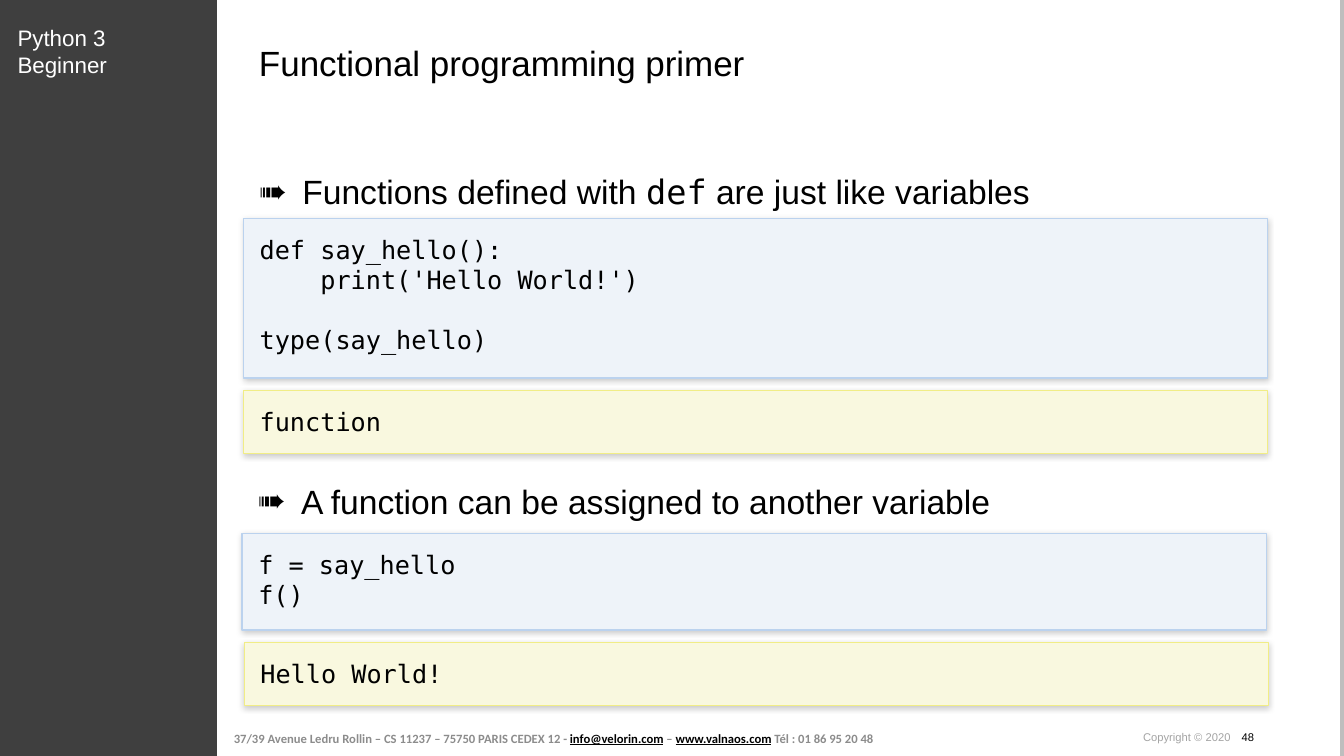
from dataclasses import dataclass

from lxml.etree import SubElement
from pptx import Presentation
from pptx.dml.color import RGBColor
from pptx.enum.shapes import MSO_CONNECTOR, MSO_SHAPE
from pptx.enum.text import MSO_ANCHOR, MSO_AUTO_SIZE, PP_ALIGN
from pptx.oxml.ns import qn
from pptx.util import Pt

SANS, MONO, FOOTER_FONT = "Arial", "DejaVu Sans Mono", "Calibri"
BLACK = RGBColor(0x00, 0x00, 0x00)
WHITE = RGBColor(0xFF, 0xFF, 0xFF)
SIDEBAR = RGBColor(0x3F, 0x3F, 0x3F)
EDGE = RGBColor(0xBE, 0xBE, 0xBE)
FOOTER_GREY = RGBColor(0x8C, 0x8C, 0x8C)
COPYRIGHT_GREY = RGBColor(0xA4, 0xA4, 0xA4)
CODE_FILL = RGBColor(0xEE, 0xF3, 0xF9)
CODE_LINE = RGBColor(0xBB, 0xD2, 0xEE)
OUTPUT_FILL = RGBColor(0xF9, 0xF8, 0xDF)
OUTPUT_LINE = RGBColor(0xF1, 0xED, 0x86)

SLIDE_W, SLIDE_H = 960, 540
CODE_SIZE, CODE_LINE_HEIGHT = 18, 21
PANEL_W, PANEL_INSET = 731.5, 11.5
BULLET_INDENT = 31


@dataclass
class Panel:
    text: str
    left: float
    top: float
    height: float
    fill: RGBColor
    line: RGBColor


@dataclass
class Bullet:
    runs: list[tuple[str, str]]
    left: float
    top: float


PANELS = [
    Panel("def say_hello():\n    print('Hello World!')\n\ntype(say_hello)",
          174, 156, 114, CODE_FILL, CODE_LINE),
    Panel("function", 174, 279, 45, OUTPUT_FILL, OUTPUT_LINE),
    Panel("f = say_hello\nf()", 173, 381, 69, CODE_FILL, CODE_LINE),
    Panel("Hello World!", 174.5, 459, 45, OUTPUT_FILL, OUTPUT_LINE),
]
BULLETS = [
    Bullet([("Functions defined with ", SANS), ("def", MONO),
            (" are just like variables", SANS)], 185, 108),
    Bullet([("A function can be assigned to another variable", SANS)], 184, 329),
]


def add_run(p, text: str, *, size: float, font: str = SANS, color: RGBColor = BLACK,
            bold: bool = False, underline: bool = False) -> None:
    r = p.add_run()
    r.text = text
    r.font.name = font
    r.font.size = Pt(size)
    r.font.color.rgb = color
    r.font.bold = bold
    r.font.underline = underline


def place(sp, left: float, top: float, width: float, height: float,
          anchor=MSO_ANCHOR.TOP, inset: float = 0):
    """Set a shape's box and text frame; return its first paragraph."""
    sp.left, sp.top, sp.width, sp.height = Pt(left), Pt(top), Pt(width), Pt(height)
    tf = sp.text_frame
    tf.auto_size = MSO_AUTO_SIZE.NONE
    tf.word_wrap = True
    tf.vertical_anchor = anchor
    tf.margin_left = tf.margin_right = tf.margin_top = tf.margin_bottom = Pt(inset)
    p = tf.paragraphs[0]
    p.alignment = PP_ALIGN.LEFT
    return p


def add_text(s, left: float, top: float, width: float, height: float, **frame):
    sp = s.shapes.add_textbox(0, 0, 0, 0)
    return place(sp, left, top, width, height, **frame)


def add_rect(s, left: float, top: float, width: float, height: float, fill: RGBColor):
    sp = s.shapes.add_shape(MSO_SHAPE.RECTANGLE, Pt(left), Pt(top), Pt(width), Pt(height))
    sp.shadow.inherit = False
    sp.fill.solid()
    sp.fill.fore_color.rgb = fill
    sp.line.fill.background()
    return sp


def add_soft_shadow(sp) -> None:
    effects = sp._element.spPr.find(qn("a:effectLst"))
    shadow = SubElement(effects, qn("a:outerShdw"), blurRad=str(Pt(4)), dist=str(Pt(1)),
                        dir="5400000", rotWithShape="0")
    color = SubElement(shadow, qn("a:srgbClr"), val=str(BLACK))
    SubElement(color, qn("a:alpha"), val="20000")


def add_panel(s, panel: Panel) -> None:
    sp = add_rect(s, panel.left, panel.top, PANEL_W, panel.height, panel.fill)
    sp.line.color.rgb = panel.line
    sp.line.width = Pt(1)
    add_soft_shadow(sp)
    p = place(sp, panel.left, panel.top, PANEL_W, panel.height, inset=PANEL_INSET)
    gap = 0
    for i, line in enumerate(panel.text.split("\n")):
        if not line:
            gap += CODE_LINE_HEIGHT
            continue
        if i:
            p = sp.text_frame.add_paragraph()
            p.alignment = PP_ALIGN.LEFT
        p.space_before = Pt(gap)
        gap = 0
        add_run(p, line, size=CODE_SIZE, font=MONO)


def fill_bullet(sp, bullet: Bullet) -> None:
    p = place(sp, bullet.left, bullet.top, 720, 39)
    pPr = p._p.get_or_add_pPr()
    pPr.set("marL", str(Pt(BULLET_INDENT)))
    pPr.set("indent", str(-Pt(BULLET_INDENT)))
    SubElement(pPr, qn("a:buChar"), char="➠")
    p.line_spacing = 1.5
    p.space_before = Pt(0)
    for text, font in bullet.runs:
        add_run(p, text, size=24, font=font)


def add_frame(s) -> None:
    """Draw the sidebar and the line along the right edge."""
    add_rect(s, 0, 0, 155, SLIDE_H, SIDEBAR)
    edge = s.shapes.add_connector(MSO_CONNECTOR.STRAIGHT, Pt(958.5), Pt(0),
                                  Pt(958.5), Pt(SLIDE_H))
    edge.line.color.rgb = EDGE
    edge.line.width = Pt(3.34)
    SubElement(edge._element.spPr, qn("a:effectLst"))
    p = add_text(s, 12.5, 17.5, 120, 39)
    add_run(p, "Python 3 Beginner", size=16, color=WHITE)


def add_footer(s) -> None:
    p = add_text(s, 162, 516, 481, 23, anchor=MSO_ANCHOR.MIDDLE, inset=5)
    for text, is_link in [
        ("37/39 Avenue Ledru Rollin – CS 11237 – 75750 PARIS CEDEX 12 - ", False),
        ("info@velorin.com", True),
        (" – ", False),
        ("www.valnaos.com", True),
        (" Tél : 01 86 95 20 48", False),
    ]:
        add_run(p, text, size=9, font=FOOTER_FONT, bold=True, underline=is_link,
                color=BLACK if is_link else FOOTER_GREY)

    p = add_text(s, 816.5, 522, 124, 10)
    tabs = SubElement(p._p.get_or_add_pPr(), qn("a:tabLst"))
    SubElement(tabs, qn("a:tab"), pos=str(Pt(70.5)), algn="l")
    add_run(p, "Copyright © 2020", size=8, color=COPYRIGHT_GREY)
    add_run(p, "\t48", size=8)


def main() -> None:
    prs = Presentation()
    prs.slide_width, prs.slide_height = Pt(SLIDE_W), Pt(SLIDE_H)
    two_content = prs.slide_layouts[3]
    s = prs.slides.add_slide(two_content)
    add_frame(s)
    p = place(s.shapes.title, 185, 29.5, 714, 30)
    add_run(p, "Functional programming primer", size=25)
    for idx, bullet in enumerate(BULLETS, start=1):
        fill_bullet(s.placeholders[idx], bullet)
    for panel in PANELS:
        add_panel(s, panel)
    add_footer(s)
    prs.save("out.pptx")


if __name__ == "__main__":
    main()
